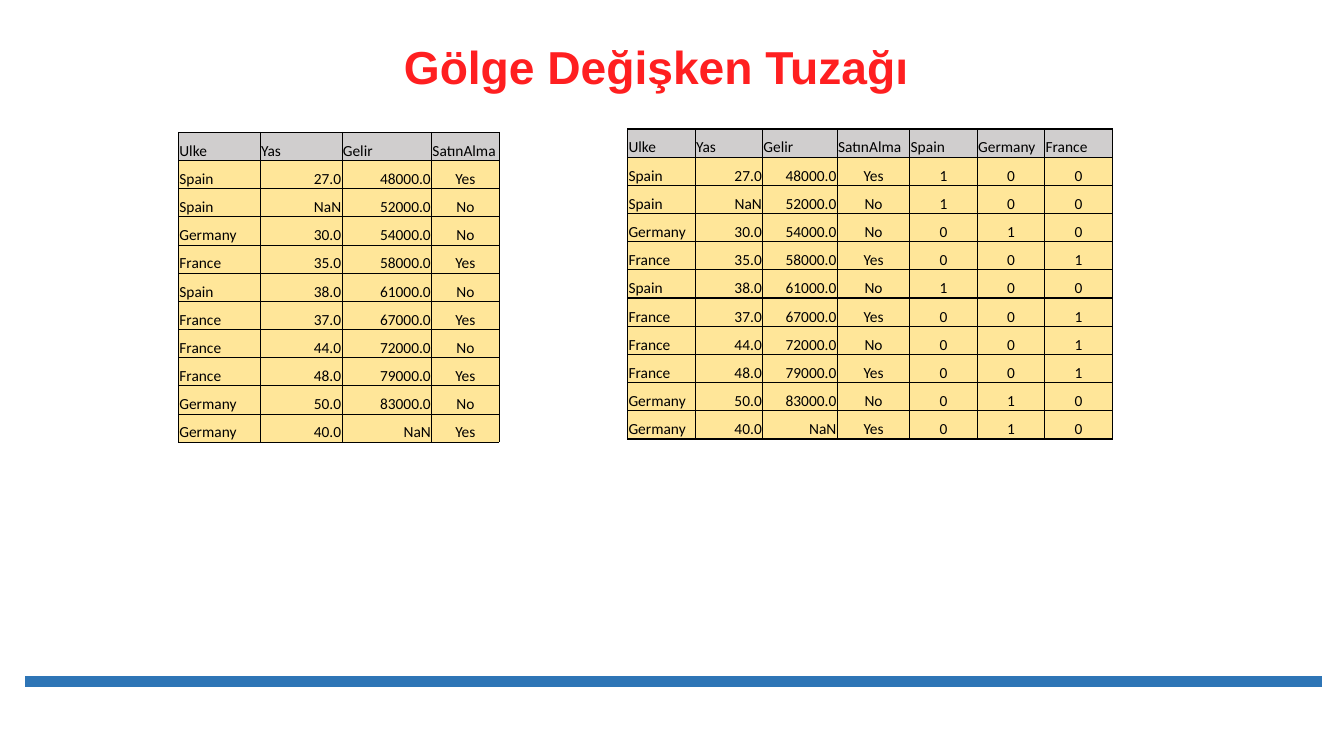
from lxml import etree
from pptx import Presentation
from pptx.dml.color import RGBColor
from pptx.enum.shapes import MSO_CONNECTOR
from pptx.enum.text import MSO_ANCHOR, PP_ALIGN
from pptx.oxml.ns import qn
from pptx.util import Cm, Pt

LEFT, CENTER, RIGHT = PP_ALIGN.LEFT, PP_ALIGN.CENTER, PP_ALIGN.RIGHT
BOTTOM = MSO_ANCHOR.BOTTOM
STRAIGHT = MSO_CONNECTOR.STRAIGHT

RED, BLUE, BLACK = "FF1F20", "2E75B6", "000000"
HEADER_FILL, BODY_FILL = "D0CECE", "FFE699"
ROW_HEIGHT = 0.71

HEADERS = ["Ulke", "Yas", "Gelir", "SatınAlma"]
COUNTRIES = ["Spain", "Germany", "France"]
CUSTOMERS = [
    ["Spain", "27.0", "48000.0", "Yes"],
    ["Spain", "NaN", "52000.0", "No"],
    ["Germany", "30.0", "54000.0", "No"],
    ["France", "35.0", "58000.0", "Yes"],
    ["Spain", "38.0", "61000.0", "No"],
    ["France", "37.0", "67000.0", "Yes"],
    ["France", "44.0", "72000.0", "No"],
    ["France", "48.0", "79000.0", "Yes"],
    ["Germany", "50.0", "83000.0", "No"],
    ["Germany", "40.0", "NaN", "Yes"],
]
ALIGNMENTS = [LEFT, RIGHT, RIGHT] + [CENTER] * 4


def color(value):
    """Turn a hex string into a colour."""
    return RGBColor.from_string(value)


def format_span(span, font, size, value, bold=False):
    """Set the font, size, colour and weight of a run."""
    span.font.name = font
    span.font.size = Pt(size)
    span.font.bold = bold
    span.font.color.rgb = color(value)


def add_borders(cell, width):
    """Draw a black line on all four sides of a cell."""
    properties = cell._tc.get_or_add_tcPr()
    for side in ("a:lnL", "a:lnR", "a:lnT", "a:lnB"):
        line = etree.SubElement(properties, qn(side), w=str(Pt(width)))
        fill = etree.SubElement(line, qn("a:solidFill"))
        etree.SubElement(fill, qn("a:srgbClr"), val=BLACK)


def add_cell(cell, text, alignment, fill, border):
    """Fill one table cell with its text, colour and borders."""
    cell.margin_left = cell.margin_right = cell.margin_top = Cm(0.02)
    cell.margin_bottom = 0
    cell.vertical_anchor = BOTTOM
    add_borders(cell, border)
    cell.fill.solid()
    cell.fill.fore_color.rgb = color(fill)
    para = cell.text_frame.paragraphs[0]
    para.text = text
    para.alignment = alignment
    format_span(para.runs[0], "Calibri", 11, BLACK)


def add_data_table(page, left, top, widths, rows, border):
    """Place a table whose first row holds the headers."""
    frame = page.shapes.add_table(
        len(rows), len(widths), Cm(left), Cm(top),
        Cm(sum(widths)), Cm(ROW_HEIGHT * len(rows)))
    table = frame.table
    for column, width in zip(table.columns, widths):
        column.width = Cm(width)
    for index, values in enumerate(rows):
        table.rows[index].height = Cm(ROW_HEIGHT)
        header = index == 0
        for number, text in enumerate(values):
            add_cell(table.cell(index, number), text,
                     LEFT if header else ALIGNMENTS[number],
                     HEADER_FILL if header else BODY_FILL, border)


def add_title(page, left, top, width, height):
    """Place the slide title at the bottom of its box."""
    box = page.shapes.add_textbox(Cm(left), Cm(top), Cm(width), Cm(height))
    frame = box.text_frame
    frame.word_wrap = True
    frame.vertical_anchor = BOTTOM
    para = frame.paragraphs[0]
    para.text = "Gölge Değişken Tuzağı"
    para.alignment = CENTER
    para.line_spacing = 0.7
    format_span(para.runs[0], "Arial", 33, RED, bold=True)


def add_footer_line(page, left, top, width):
    """Draw the thick line across the foot of the slide."""
    line = page.shapes.add_connector(
        STRAIGHT, Cm(left), Cm(top), Cm(left + width), Cm(top))
    line.line.color.rgb = color(BLUE)
    line.line.width = Pt(8)
    etree.SubElement(line._element.spPr, qn("a:effectLst"))


def with_dummies(customer):
    """Append one 0/1 column per country to a customer row."""
    return customer + [str(int(customer[0] == name)) for name in COUNTRIES]


def build_slide(page):
    """Place the line, the title and both tables."""
    add_footer_line(page, 0.64, 17.17, 32.68)
    add_title(page, 3.84, 0.58, 25.4, 1.88)
    add_data_table(page, 15.82, 3.25, [1.7, 1.7, 1.88, 1.83] + [1.7] * 3,
                   [HEADERS + COUNTRIES] + [with_dummies(row) for row in CUSTOMERS], 1)
    add_data_table(page, 4.5, 3.33, [2.06, 2.06, 2.26, 1.7],
                   [HEADERS] + CUSTOMERS, 0.5)


deck = Presentation()
deck.slide_width, deck.slide_height = Cm(33.87), Cm(19.05)
build_slide(deck.slides.add_slide(deck.slide_layouts[6]))
deck.save("out.pptx")
